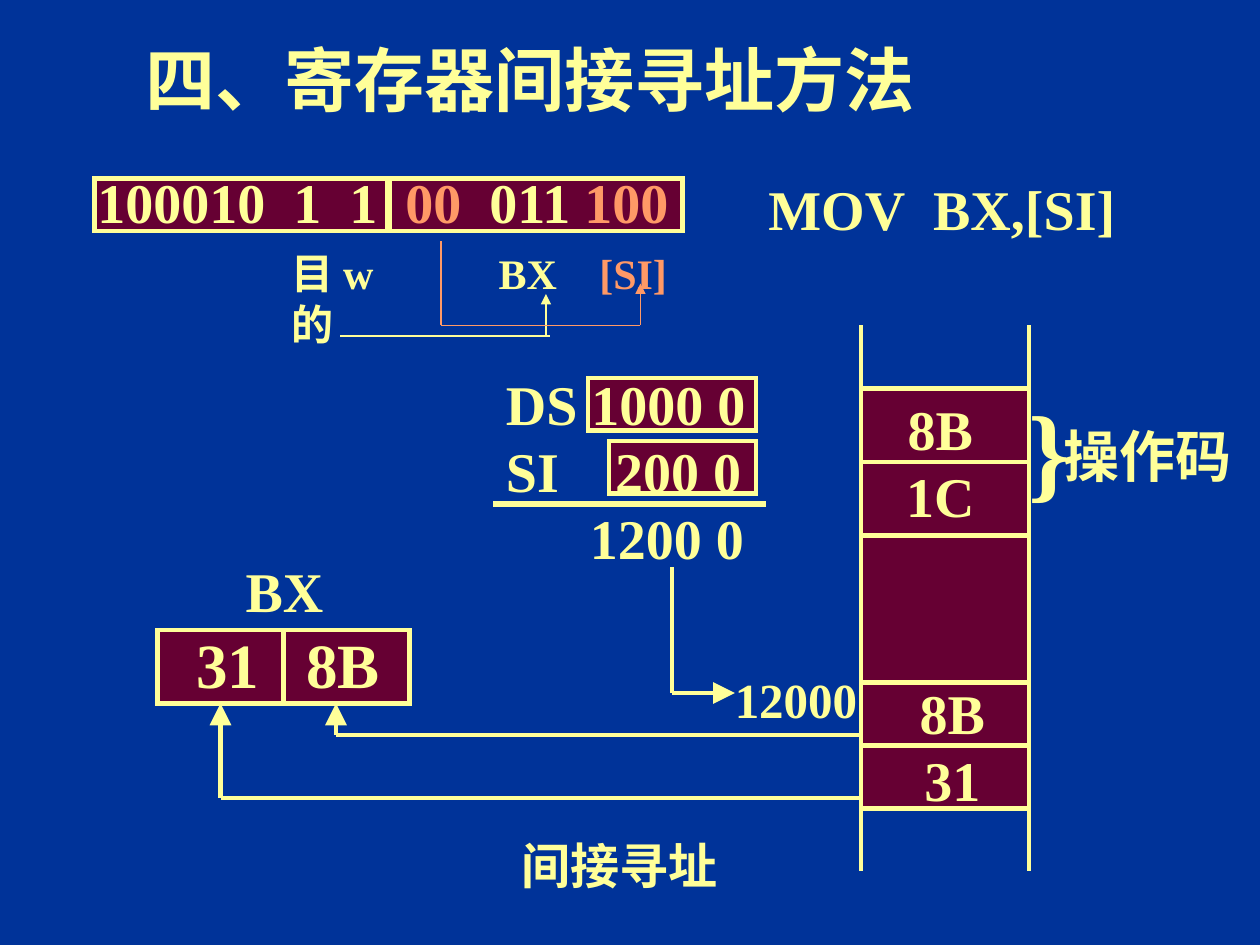
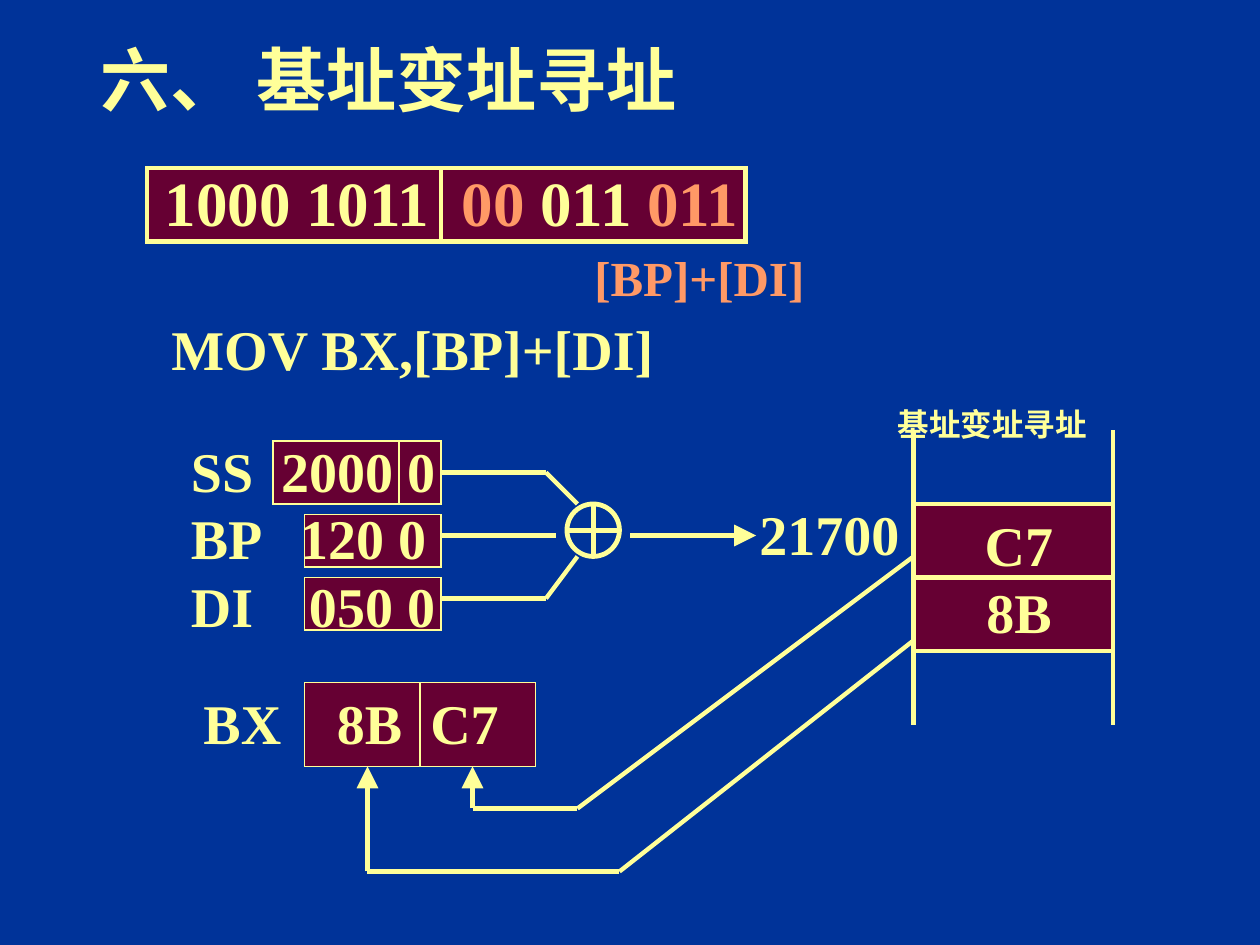
from lxml.etree import SubElement
from pptx import Presentation
from pptx.dml.color import RGBColor
from pptx.enum.lang import MSO_LANGUAGE_ID as Language
from pptx.enum.shapes import MSO_CONNECTOR as Connector, MSO_SHAPE as Preset
from pptx.enum.text import MSO_ANCHOR as Anchor, MSO_AUTO_SIZE as AutoSize, PP_ALIGN as Align
from pptx.oxml.ns import qn
from pptx.util import Cm, Pt

COLORS = {"ground": "003399", "cell": "660033", "main": "FFFF99", "accent": "FF9966"}
FONT = "Times New Roman"
GRID_CM = 2.54 / 12
THIN, THICK = 0.75, 2.5


def grid(steps):
    return Cm(steps * GRID_CM)


def rgb(name):
    return RGBColor.from_string(COLORS[name])


def write(frame, lines, size=32, color="main", align=Align.CENTER, tabs=(), before=0):
    for index, line in enumerate(lines):
        paragraph = frame.paragraphs[0] if index == 0 else frame.add_paragraph()
        paragraph.alignment = align
        paragraph.space_before = Pt(before)
        if index < len(tabs) and tabs[index]:
            stops = SubElement(paragraph._p.get_or_add_pPr(), qn("a:tabLst"))
            for stop in tabs[index]:
                SubElement(stops, qn("a:tab"), pos=str(grid(stop)), algn="l")
        for wording, shade in [(line, color)] if isinstance(line, str) else line:
            run = paragraph.add_run()
            run.text = wording
            font = run.font
            font.name, font.size, font.bold = FONT, Pt(size), True
            font.language_id = Language.SIMPLIFIED_CHINESE
            font.color.rgb = rgb(shade)


def label(slide, box, *lines, tabs=(), **style):
    frame = slide.shapes.add_textbox(*map(grid, box)).text_frame
    frame.word_wrap = bool(tabs)
    frame.auto_size = AutoSize.SHAPE_TO_FIT_TEXT
    if tabs:
        style["align"] = Align.LEFT
    write(frame, lines, tabs=tabs, **style)


def fill_placeholder(holder, box, wording, anchor, **style):
    holder.left, holder.top, holder.width, holder.height = map(grid, box)
    frame = holder.text_frame
    frame.auto_size = AutoSize.NONE
    frame.vertical_anchor = anchor
    write(frame, [wording], **style)


def cell(slide, box, width=THICK, preset=Preset.RECTANGLE, fill="cell"):
    block = slide.shapes.add_shape(preset, *map(grid, box))
    block.shadow.inherit = False
    block.fill.solid()
    block.fill.fore_color.rgb = rgb(fill)
    block.line.color.rgb = rgb("main")
    block.line.width = Pt(width)
    SubElement(block.line._get_or_add_ln(), qn("a:miter"), lim="800000")


def route(slide, *points, width=THICK, color="main", arrow=False):
    for start, end in zip(points, points[1:]):
        segment = slide.shapes.add_connector(Connector.STRAIGHT, *map(grid, start + end))
        segment.line.color.rgb = rgb(color)
        segment.line.width = Pt(width)
        SubElement(segment._element.spPr, qn("a:effectLst"))
    if arrow:
        scale = "med" if width == THIN else "lg"
        SubElement(segment.line._get_or_add_ln(), qn("a:tailEnd"),
                   type="triangle", w=scale, len=scale)


def memory(slide, left, right, top, bottom, rail, dividers):
    cell(slide, (left, top, right - left, bottom - top))
    for row in dividers:
        route(slide, (left, row), (right, row))
    for side in (left, right):
        route(slide, (side, top - rail), (side, top))
        route(slide, (side, bottom), (side, bottom + rail))


def start_slide(deck, title, title_box, caption, caption_box, **caption_style):
    slide = deck.slides.add_slide(deck.slide_layouts[0])
    heading, subtitle = slide.placeholders
    fill_placeholder(heading, title_box, title, Anchor.MIDDLE, size=40)
    fill_placeholder(subtitle, caption_box, caption, Anchor.TOP, **caption_style)
    return slide


def register_indirect(deck):
    slide = start_slide(deck, "四、寄存器间接寻址方法", (4, 0, 92.9, 15),
                        "间接寻址", (48, 79, 22, 7), size=28, before=7)

    cell(slide, (9, 17, 56, 5))
    label(slide, (8.1, 15.4, 59, 7.7),
          [("100010\t1\t1\t", "main"), ("00", "accent"), ("\t011 ", "main"), ("100", "accent")],
          tabs=[(18.67, 24, 29.33, 37.33)])
    route(slide, (37, 17), (37, 22), width=4.5)
    label(slide, (72, 16, 37, 7.7), "MOV\tBX,[SI]", tabs=[(15.7,)])
    label(slide, (26.6, 23, 40, 10.8),
          [("目 w\tBX\t", "main"), ("[SI]", "accent")], "的",
          size=24, tabs=[(19.7, 29.3)])
    route(slide, (32.4, 32), (52.4, 32), width=THIN)
    route(slide, (52, 32), (52, 28), width=THIN, arrow=True)
    route(slide, (42, 23), (42, 31), (61, 31), (61, 27),
          width=THIN, color="accent", arrow=True)

    cell(slide, (56, 36, 16, 5))
    cell(slide, (58, 42, 14, 5))
    label(slide, (47, 34.6, 27, 20.4), "DS 1000 0", "SI\t200 0", "\t1200 0",
          tabs=[(), (10.4,), (8,)])
    route(slide, (47, 48), (73, 48), width=3)
    route(slide, (64, 54), (64, 66), (70, 66), arrow=True)
    label(slide, (68.3, 63.2, 15, 6.8), "12000", size=28)

    memory(slide, 82, 98, 37, 77, 6, (44, 51, 65, 71))
    label(slide, (85.1, 37, 8.9, 14), "8B", "1C")
    label(slide, (86.4, 64, 8.6, 14), "8B", "31")
    label(slide, (96.7, 36, 6.4, 13.2), "}", size=60)
    label(slide, (100.1, 39.6, 18.4, 7.7), "操作码")

    cell(slide, (15, 60, 24, 7))
    route(slide, (27, 60), (27, 67))
    label(slide, (22.2, 52.4, 9.8, 7.7), "BX")
    label(slide, (17.5, 59, 21, 8.4), "31\t8B", size=36, tabs=[(10.5,)])
    route(slide, (82, 70), (32, 70), (32, 67), arrow=True)
    route(slide, (82, 76), (21, 76), (21, 67), arrow=True)


def based_indexed(deck):
    slide = start_slide(deck, "六、 基址变址寻址", (0, 0, 74, 15),
                        "基址变址寻址", (81, 38, 27, 5), size=18, before=4.5)

    cell(slide, (14, 16, 57, 7))
    label(slide, (14.5, 15, 60, 8.4),
          [("1000 1011\t", "main"), ("00", "accent"), (" 011", "main"), (" 011", "accent")],
          size=36, tabs=[(28.3,)])
    route(slide, (42, 16), (42, 23))
    label(slide, (55, 23, 23.2, 6.8), "[BP]+[DI]", size=28, color="accent")
    label(slide, (14.8, 29.4, 49, 7.7), "MOV BX,[BP]+[DI]")

    for box in ((26, 42, 16, 6), (29, 49, 13, 5), (29, 55, 13, 5)):
        cell(slide, box, width=THIN)
    route(slide, (38, 42), (38, 48), width=THIN)
    label(slide, (17, 41, 28, 20.4), "SS\t2000 0", "BP\t120 0", "DI\t050 0",
          tabs=[(8.6,), (10.4,), (11.25,)])

    cell(slide, (54, 48, 5, 5), width=2.75, preset=Preset.FLOWCHART_OR, fill="ground")
    route(slide, (42, 45), (52, 45), (55, 48))
    route(slide, (42, 51), (53, 51))
    route(slide, (42, 57), (52, 57), (55, 53))
    route(slide, (60, 51), (72, 51), arrow=True)
    label(slide, (70.5, 47, 17, 7.7), "21700")

    memory(slide, 87, 106, 48, 62, 7, (55,))
    label(slide, (92.6, 48, 8.9, 14), "C7", "8B")

    cell(slide, (29, 65, 22, 8), width=THIN)
    route(slide, (40, 65), (40, 73), width=THIN)
    label(slide, (18.2, 65, 33, 7.7), "BX\t8B\tC7", tabs=[(12.7, 21.6)])
    route(slide, (87, 53), (55, 77), (45, 77), (45, 73), arrow=True)
    route(slide, (87, 61), (59, 83), (35, 83), (35, 73), arrow=True)


def main():
    deck = Presentation()
    deck.slide_width, deck.slide_height = Cm(25.4), Cm(19.05)
    ground = deck.slide_master.background.fill
    ground.solid()
    ground.fore_color.rgb = rgb("ground")
    register_indirect(deck)
    based_indexed(deck)
    deck.save("out.pptx")


if __name__ == "__main__":
    main()
